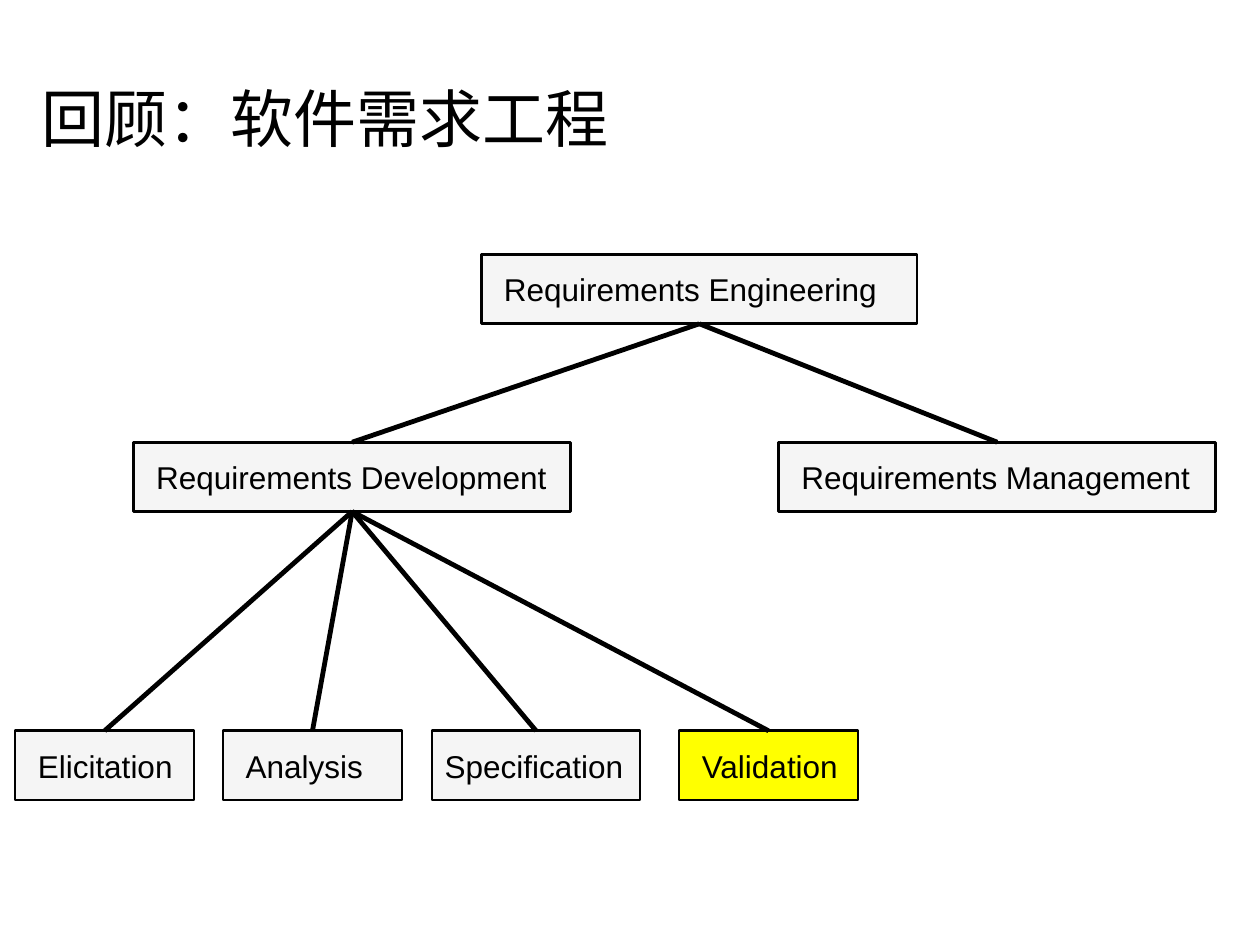
from lxml.etree import SubElement
from pptx import Presentation
from pptx.dml.color import RGBColor
from pptx.enum.shapes import MSO_CONNECTOR, MSO_SHAPE
from pptx.enum.text import MSO_ANCHOR, PP_ALIGN
from pptx.oxml.ns import qn
from pptx.util import Inches, Pt

COLORS = {"ink": "000000", "box": "F5F5F5", "highlight": "FFFF00"}
TITLE_FONT = "Noto Sans CJK SC"
BODY_FONT = "Arial"
BOX_HEIGHT = 0.55
TOP, BOTTOM = 0, 2


def color(name):
    return RGBColor.from_string(COLORS[name])


def format_font(font, name, size):
    font.name = name
    font.size = Pt(size)
    font.color.rgb = color("ink")


def set_title(slide, text):
    title = slide.shapes.title
    title.left, title.top = Inches(0.23), Inches(0.7)
    title.width, title.height = Inches(9.41), Inches(0.8)
    text_frame = title.text_frame
    text_frame.text = text
    text_frame.vertical_anchor = MSO_ANCHOR.TOP
    text_frame.margin_top = 0
    paragraph = text_frame.paragraphs[0]
    paragraph.alignment = PP_ALIGN.LEFT
    paragraph.line_spacing = 0.9
    run = paragraph.runs[0]
    format_font(run.font, TITLE_FONT, 36)
    east_asian = SubElement(run.font._element, qn("a:ea"))
    east_asian.set("typeface", TITLE_FONT)


def add_box(slide, text, left, top, width, indent=0.18, fill="box"):
    shape = slide.shapes.add_shape(
        MSO_SHAPE.RECTANGLE, Inches(left), Inches(top), Inches(width), Inches(BOX_HEIGHT)
    )
    shape.shadow.inherit = False
    shape.fill.solid()
    shape.fill.fore_color.rgb = color(fill)
    shape.line.color.rgb = color("ink")
    shape.line.width = Pt(1.5)
    text_frame = shape.text_frame
    text_frame.text = text
    text_frame.word_wrap = True
    text_frame.vertical_anchor = MSO_ANCHOR.MIDDLE
    text_frame.margin_left = Inches(indent)
    text_frame.margin_right = Inches(0.05)
    paragraph = text_frame.paragraphs[0]
    paragraph.alignment = PP_ALIGN.LEFT
    format_font(paragraph.runs[0].font, BODY_FONT, 18)
    return shape


def add_branch(slide, parent, child):
    connector = slide.shapes.add_connector(MSO_CONNECTOR.STRAIGHT, 0, 0, 0, 0)
    connector.begin_connect(parent, BOTTOM)
    connector.end_connect(child, TOP)
    connector.line.color.rgb = color("ink")
    connector.line.width = Pt(2.75)
    SubElement(connector._element.spPr, qn("a:effectLst"))


def main():
    presentation = Presentation()
    presentation.slide_width = Inches(10)
    presentation.slide_height = Inches(7.5)
    slide = presentation.slides.add_slide(presentation.slide_layouts[5])
    set_title(slide, "回顾：软件需求工程")

    engineering = add_box(slide, "Requirements Engineering", 3.82, 2.02, 3.46)
    development = add_box(slide, "Requirements Development", 1.06, 3.51, 3.47)
    management = add_box(slide, "Requirements Management", 6.18, 3.51, 3.47)
    activity_top = 5.8
    activities = [
        add_box(slide, "Elicitation", 0.12, activity_top, 1.42),
        add_box(slide, "Analysis", 1.77, activity_top, 1.42),
        add_box(slide, "Specification", 3.43, activity_top, 1.65, indent=0.1),
        add_box(slide, "Validation", 5.39, activity_top, 1.42, fill="highlight"),
    ]

    for parent, children in (
        (engineering, [development, management]),
        (development, activities),
    ):
        for child in children:
            add_branch(slide, parent, child)

    presentation.save("out.pptx")


if __name__ == "__main__":
    main()
